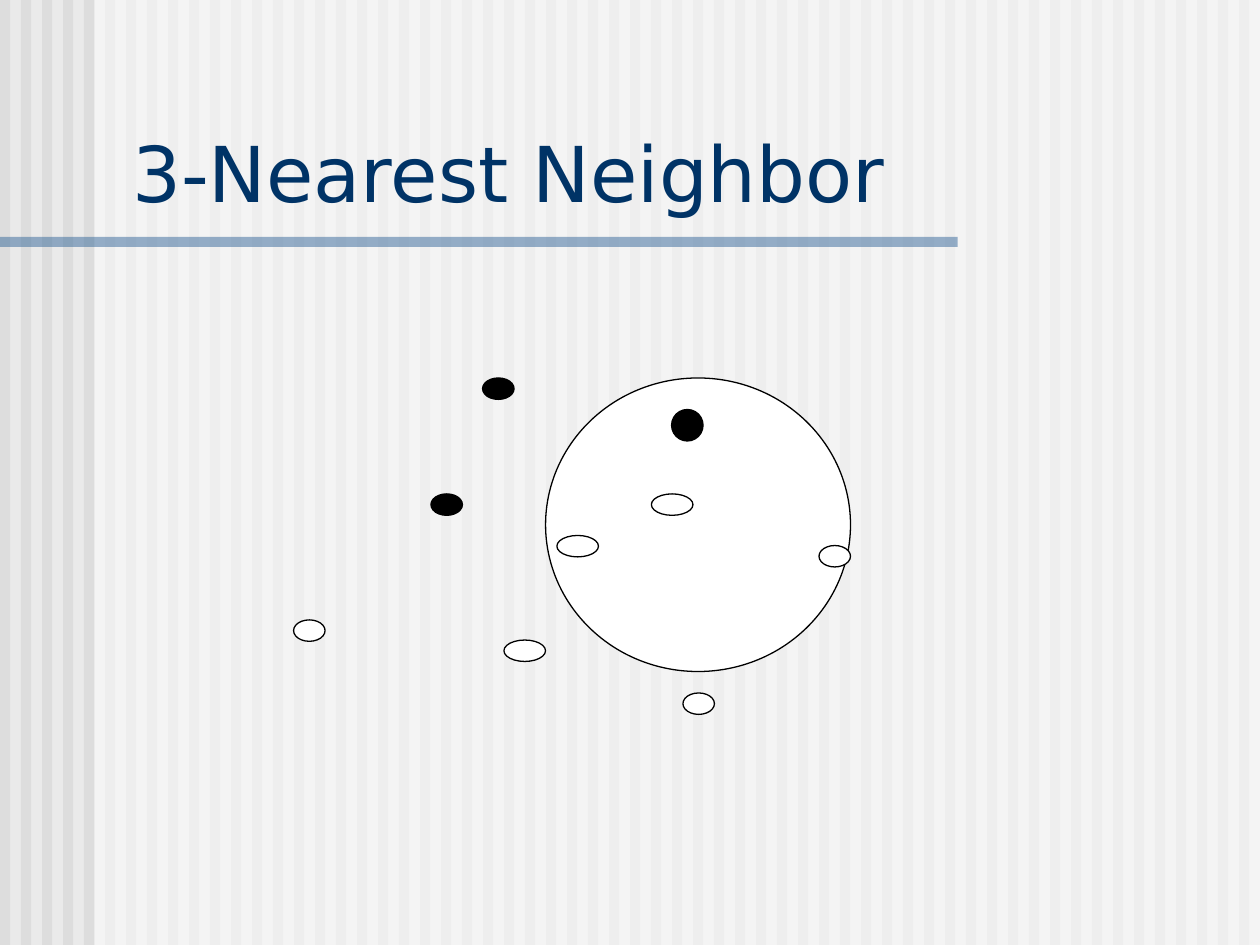
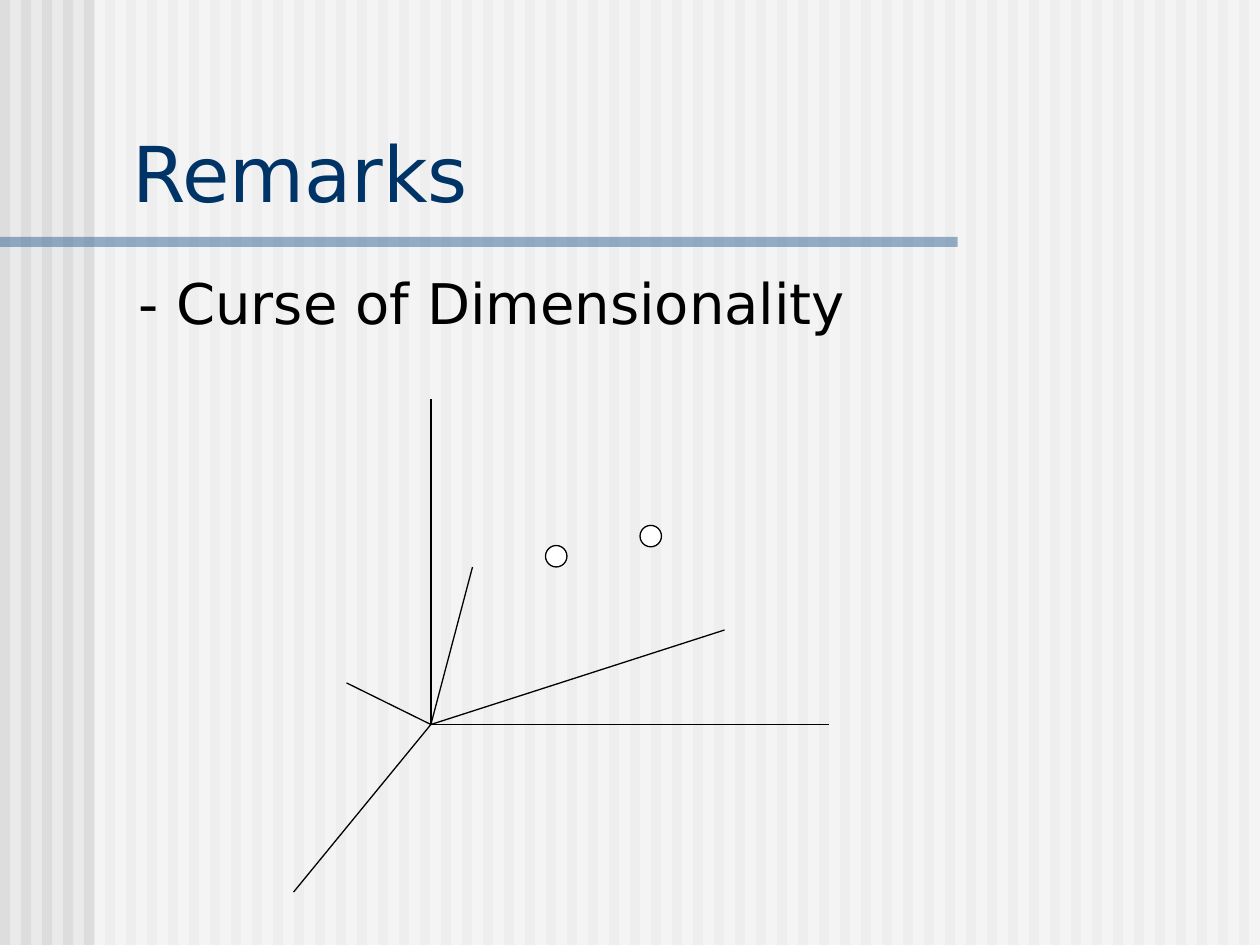
from pptx import Presentation
from pptx.dml.color import RGBColor
from pptx.enum.shapes import MSO_CONNECTOR as CONN, MSO_SHAPE as SHAPE
from pptx.enum.text import MSO_ANCHOR as ANCHOR
from pptx.oxml.ns import qn
from pptx.util import Inches, Pt
from lxml.etree import SubElement

BACKGROUND = "EAEAEA"
STRIPE = "DDDDDD"
WHITE = "FFFFFF"
BLACK = "000000"
RULE = "336699"
TITLE = "003366"
FONT = "DejaVu Sans"


def rgb(value):
    """Turn a hex string into a colour."""
    return RGBColor.from_string(value)


class Deck:
    """Hold the shared style and the slide being drawn."""

    def __init__(self):
        """Start an empty 10 by 7.5 inch presentation."""
        self.prs = Presentation()
        self.prs.slide_width = Inches(10)
        self.prs.slide_height = Inches(7.5)
        self.s = None

    def new_slide(self):
        """Add a slide with the striped background, veil and rule."""
        self.s = self.prs.slides.add_slide(self.prs.slide_layouts[6])
        fill = self.s.background.fill
        fill.solid()
        fill.fore_color.rgb = rgb(BACKGROUND)
        for i in range(60):
            self.shape(SHAPE.RECTANGLE, i / 6, 0, 0.08, 7.5, STRIPE)
        self.shape(SHAPE.RECTANGLE, 0.75, 0, 9.25, 7.5, WHITE, alpha=50)
        self.shape(SHAPE.RECTANGLE, 0, 1.88, 7.6, 0.08, RULE, alpha=50)

    def shape(self, kind, x, y, w, h, color, line=None, alpha=None):
        """Draw a filled preset shape, optionally outlined or translucent."""
        sp = self.s.shapes.add_shape(kind, Inches(x), Inches(y), Inches(w), Inches(h))
        sp.shadow.inherit = False
        sp.fill.solid()
        sp.fill.fore_color.rgb = rgb(color)
        if line:
            sp.line.color.rgb = rgb(line)
            sp.line.width = Pt(0.75)
        else:
            sp.line.fill.background()
        if alpha:
            clr = sp.fill._xPr.find(qn("a:solidFill"))[0]
            SubElement(clr, qn("a:alpha")).set("val", str(alpha * 1000))

    def ellipse(self, x, y, w, h, color=WHITE):
        """Draw an ellipse with a thin black outline."""
        self.shape(SHAPE.OVAL, x, y, w, h, color, line=BLACK)

    def line(self, start, end):
        """Draw a thin black line between two points."""
        cn = self.s.shapes.add_connector(CONN.STRAIGHT, *map(Inches, start + end))
        cn.line.color.rgb = rgb(BLACK)
        cn.line.width = Pt(0.75)
        SubElement(cn._element.spPr, qn("a:effectLst"))

    def text(self, text, x, y, w, h, size, color, anchor=ANCHOR.TOP):
        """Add a wrapped text box and return its paragraph."""
        tb = self.s.shapes.add_textbox(Inches(x), Inches(y), Inches(w), Inches(h))
        tf = tb.text_frame
        tf.text = text
        tf.word_wrap = True
        tf.vertical_anchor = anchor
        p = tf.paragraphs[0]
        font = p.runs[0].font
        font.name = FONT
        font.size = Pt(size)
        font.color.rgb = rgb(color)
        return p

    def title(self, text):
        """Add the slide title above the rule."""
        self.text(text, 0.95, 0.94, 8.93, 0.84, 44, TITLE, ANCHOR.BOTTOM)

    def body(self, text):
        """Add the body text with a hanging indent."""
        p = self.text(text, 1, 2.08, 8.87, 4.58, 32, BLACK)
        p.space_before = Pt(8)
        pPr = p._p.get_or_add_pPr()
        pPr.set("marL", str(Inches(0.38)))
        pPr.set("indent", str(-Inches(0.38)))


def neighbor_slide(deck):
    """Draw the query neighbourhood and the two classes of points."""
    deck.new_slide()
    deck.ellipse(4.33, 3, 2.42, 2.33)
    deck.title("3-Nearest Neighbor")
    for x, y, h in [(3.42, 3.92, 0.17), (3.83, 3, 0.17), (5.33, 3.25, 0.25)]:
        deck.ellipse(x, y, 0.25, h, BLACK)
    for x, y in [(6.5, 4.33), (2.33, 4.92), (5.42, 5.5)]:
        deck.ellipse(x, y, 0.25, 0.17)
    for x, y in [(5.17, 3.92), (4, 5.08), (4.42, 4.25)]:
        deck.ellipse(x, y, 0.33, 0.17)


def remarks_slide(deck):
    """Draw many axes from one origin with two distant points."""
    deck.new_slide()
    deck.title("Remarks")
    deck.body("- Curse of Dimensionality")
    origin = (3.42, 5.75)
    axis_ends = [(3.42, 3.17), (6.58, 5.75), (2.33, 7.08),
                 (2.75, 5.42), (3.75, 4.5), (5.75, 5)]
    for end in axis_ends:
        deck.line(origin, end)
    for x, y in [(4.33, 4.33), (5.08, 4.17)]:
        deck.ellipse(x, y, 0.17, 0.17)


def main():
    """Build and save both slides."""
    deck = Deck()
    neighbor_slide(deck)
    remarks_slide(deck)
    deck.prs.save("out.pptx")


if __name__ == "__main__":
    main()
